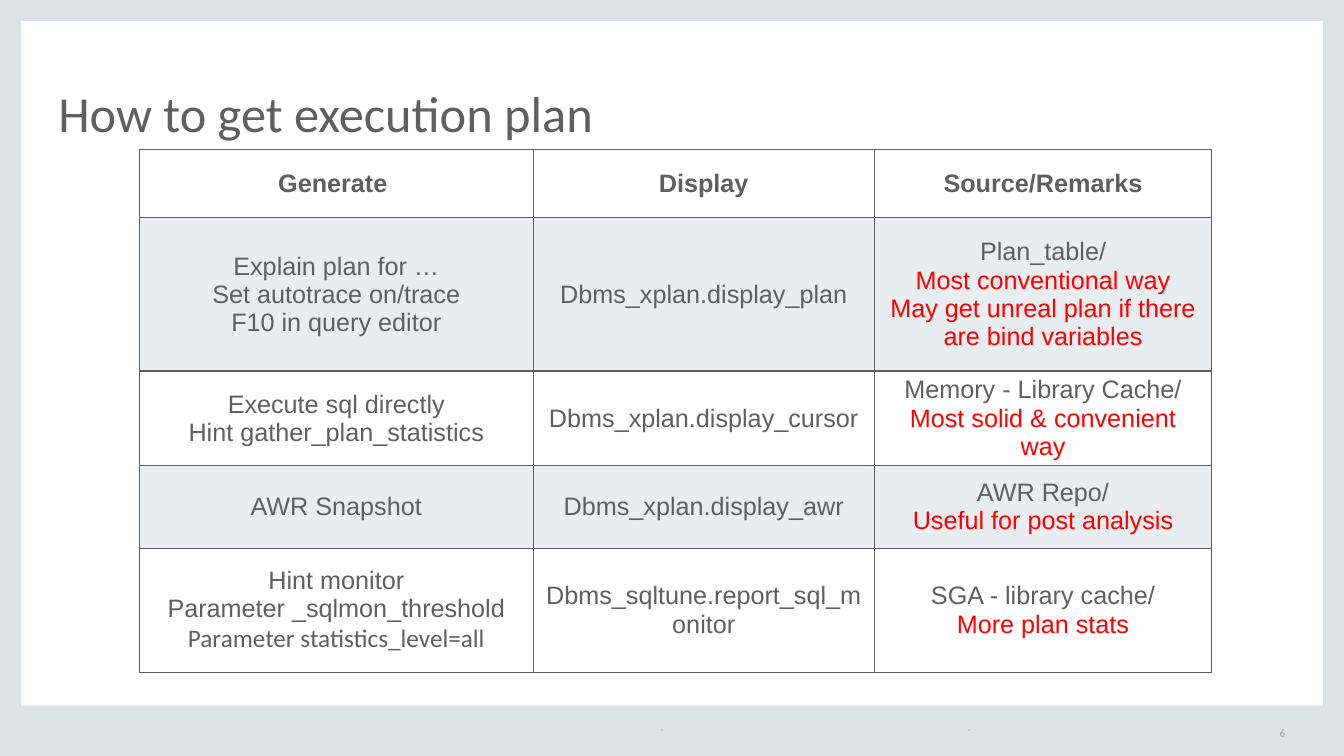
from lxml import etree
from pptx import Presentation
from pptx.dml.color import RGBColor
from pptx.enum.shapes import MSO_SHAPE
from pptx.enum.text import MSO_ANCHOR, PP_ALIGN
from pptx.oxml.ns import qn
from pptx.util import Cm, Pt

RECTANGLE = MSO_SHAPE.RECTANGLE
MIDDLE, BOTTOM = MSO_ANCHOR.MIDDLE, MSO_ANCHOR.BOTTOM
LEFT, CENTER, RIGHT = PP_ALIGN.LEFT, PP_ALIGN.CENTER, PP_ALIGN.RIGHT

COLORS = {
    "frame": "DCE3E4",
    "text": "5F5F5F",
    "remark": "FF0000",
    "footer": "9F9F9F",
    "band": "E8EDEF",
}
WIDTH, HEIGHT = 33.87, 19.05
EDGE, FOOTER_HEIGHT = 0.53, 1.27

COLUMN_WIDTHS = [9.93, 8.59, 8.51]
ROW_HEIGHTS = [1.73, 3.86, 2.08, 2.08, 3.12]
CALIBRI_LINE = "Parameter statistics_level=all"
ROWS = [
    [["Generate "], ["Display"], ["Source/Remarks"]],
    [["Explain plan for …", "Set autotrace on/trace", "F10 in query editor"],
     ["Dbms_xplan.display_plan"],
     ["Plan_table/", "Most conventional way",
      "May get unreal plan if there are bind variables"]],
    [["Execute sql directly", "Hint gather_plan_statistics"],
     ["Dbms_xplan.display_cursor"],
     ["Memory - Library Cache/", "Most solid & convenient way"]],
    [["AWR Snapshot"],
     ["Dbms_xplan.display_awr"],
     ["AWR Repo/", "Useful for post analysis"]],
    [["Hint monitor", "Parameter _sqlmon_threshold", CALIBRI_LINE],
     ["Dbms_sqltune.report_sql_monitor"],
     ["SGA - library cache/", "More plan stats"]],
]


def color(name):
    """Return the named colour."""
    return RGBColor.from_string(COLORS[name])


def style(para, size, font_name, color_name, align, bold=False):
    """Set the font and alignment of a paragraph."""
    para.alignment = align
    para.font.size = Pt(size)
    para.font.name = font_name
    para.font.bold = bold
    para.font.color.rgb = color(color_name)


def add_bar(page, left, top, width, height):
    """Add one side of the slide frame."""
    bar = page.shapes.add_shape(
        RECTANGLE, Cm(left), Cm(top), Cm(width), Cm(height))
    bar.shadow.inherit = False
    bar.fill.solid()
    bar.fill.fore_color.rgb = color("frame")
    bar.line.fill.background()


def add_text(page, text, place, size, color_name, anchor=MIDDLE, align=LEFT):
    """Add a one-line text box without insets and return its paragraph."""
    box = page.shapes.add_textbox(*map(Cm, place))
    frame = box.text_frame
    frame.word_wrap = True
    frame.vertical_anchor = anchor
    frame.margin_left = frame.margin_right = 0
    frame.margin_top = frame.margin_bottom = 0
    para = frame.paragraphs[0]
    para.text = text
    style(para, size, "Calibri", color_name, align)
    return para


def set_borders(cell):
    """Draw a thin line on all four sides of a cell."""
    properties = cell._tc.get_or_add_tcPr()
    for position, side in enumerate(("a:lnL", "a:lnR", "a:lnT", "a:lnB")):
        line = etree.Element(qn(side), w=str(Pt(1)))
        fill = etree.SubElement(line, qn("a:solidFill"))
        etree.SubElement(fill, qn("a:srgbClr"), val=COLORS["text"])
        properties.insert(position, line)


def fill_cell(cell, lines, is_header, is_banded, is_remark):
    """Write the lines of a cell and set its fill and borders."""
    cell.vertical_anchor = MIDDLE
    cell.margin_top = cell.margin_bottom = Cm(0.05)
    if is_banded:
        cell.fill.solid()
        cell.fill.fore_color.rgb = color("band")
    else:
        cell.fill.background()
    set_borders(cell)
    cell.text = "\n".join(lines)
    for index, para in enumerate(cell.text_frame.paragraphs):
        font_name = "Calibri" if para.text == CALIBRI_LINE else "Arial"
        color_name = "remark" if is_remark and index > 0 else "text"
        style(para, 18, font_name, color_name, CENTER, is_header)


def add_plan_table(page, left, top):
    """Add the table of ways to get an execution plan."""
    table = page.shapes.add_table(
        len(ROWS), len(COLUMN_WIDTHS), Cm(left), Cm(top),
        Cm(sum(COLUMN_WIDTHS)), Cm(sum(ROW_HEIGHTS))).table
    table.horz_banding = False
    for column, width in zip(table.columns, COLUMN_WIDTHS):
        column.width = Cm(width)
    for row_index, (row, height) in enumerate(zip(table.rows, ROW_HEIGHTS)):
        row.height = Cm(height)
        for column_index, lines in enumerate(ROWS[row_index]):
            fill_cell(row.cells[column_index], lines, row_index == 0,
                      row_index % 2 == 1, column_index == 2)


def main():
    """Build the slide and save it."""
    deck = Presentation()
    deck.slide_width, deck.slide_height = Cm(WIDTH), Cm(HEIGHT)
    page = deck.slides.add_slide(deck.slide_layouts[6])

    add_bar(page, 0, 0, EDGE, HEIGHT)
    add_bar(page, WIDTH - EDGE, 0, EDGE, HEIGHT)
    add_bar(page, 0, HEIGHT - FOOTER_HEIGHT, WIDTH, FOOTER_HEIGHT)
    add_bar(page, 0, 0, WIDTH, EDGE)

    title = add_text(page, "How to get execution plan",
                     (1.47, 1.12, 30.91, 2.46), 36, "text", BOTTOM)
    title.line_spacing = 0.8
    for text, left, width, align in (("`", 16.64, 7.75, LEFT),
                                     ("`", 24.38, 6.93, LEFT),
                                     ("6", 31.32, 1.07, RIGHT)):
        add_text(page, text, (left, 18.21, width, 0.51), 8, "footer",
                 align=align)
    add_plan_table(page, 3.51, 3.76)
    deck.save("out.pptx")


main()
